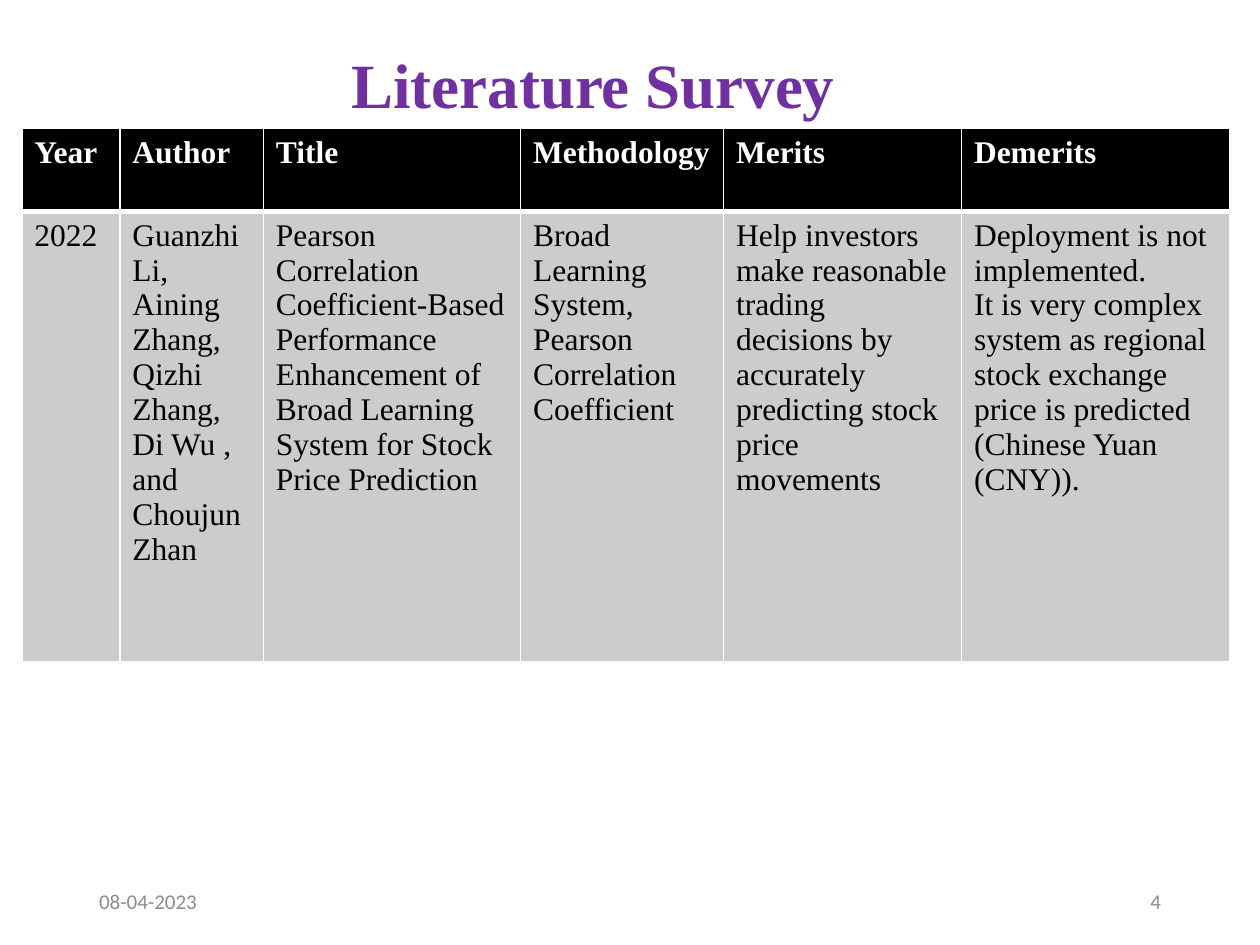
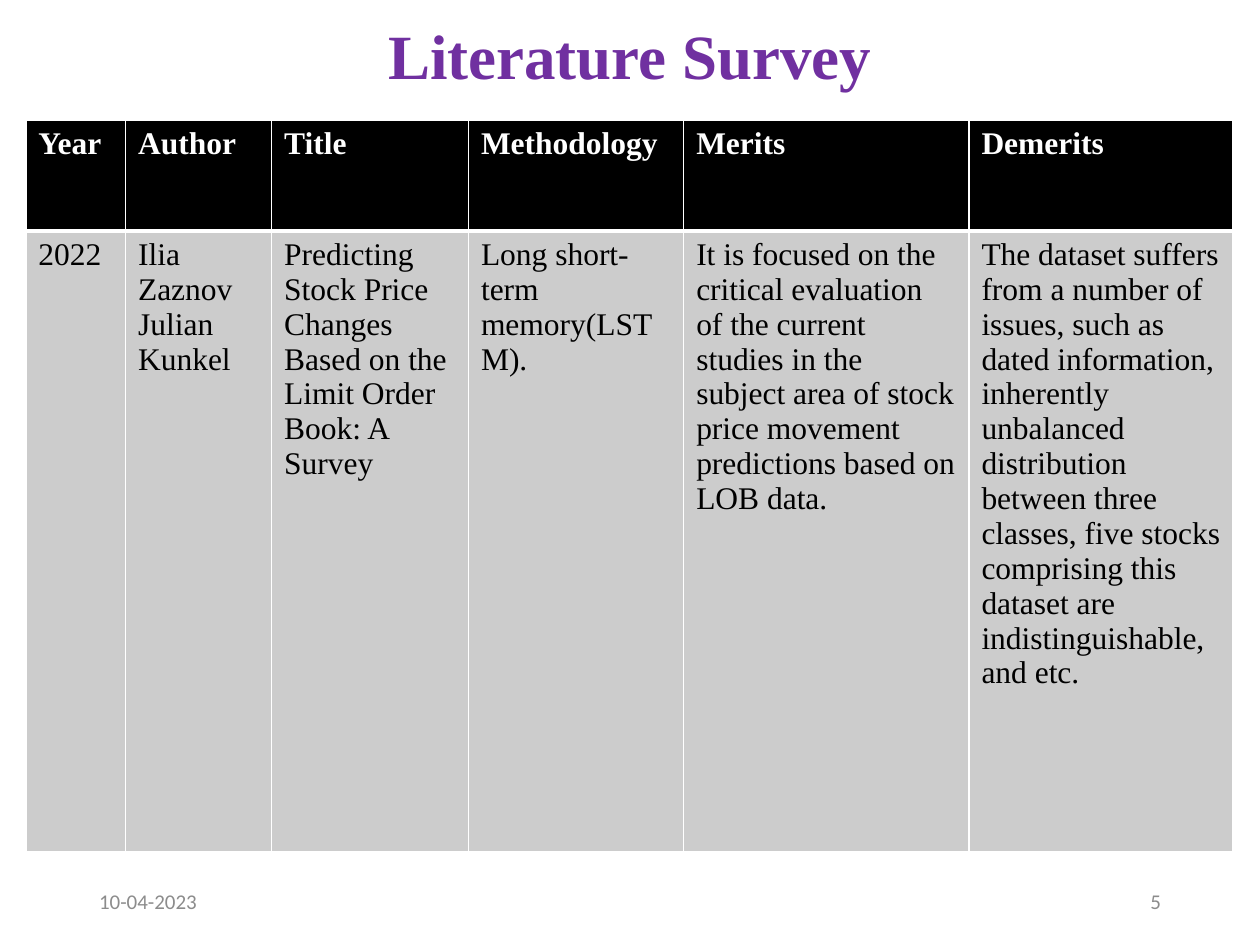
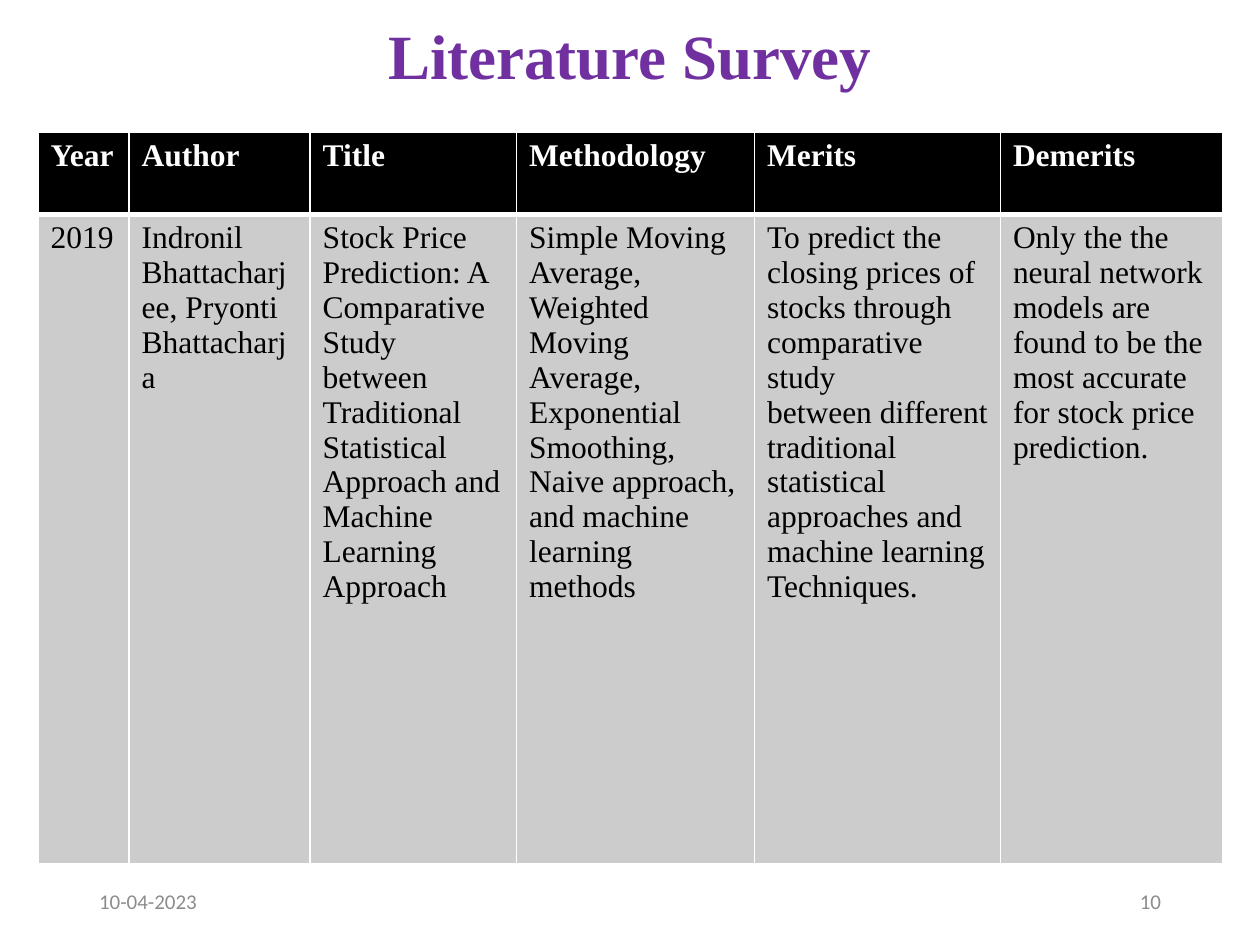
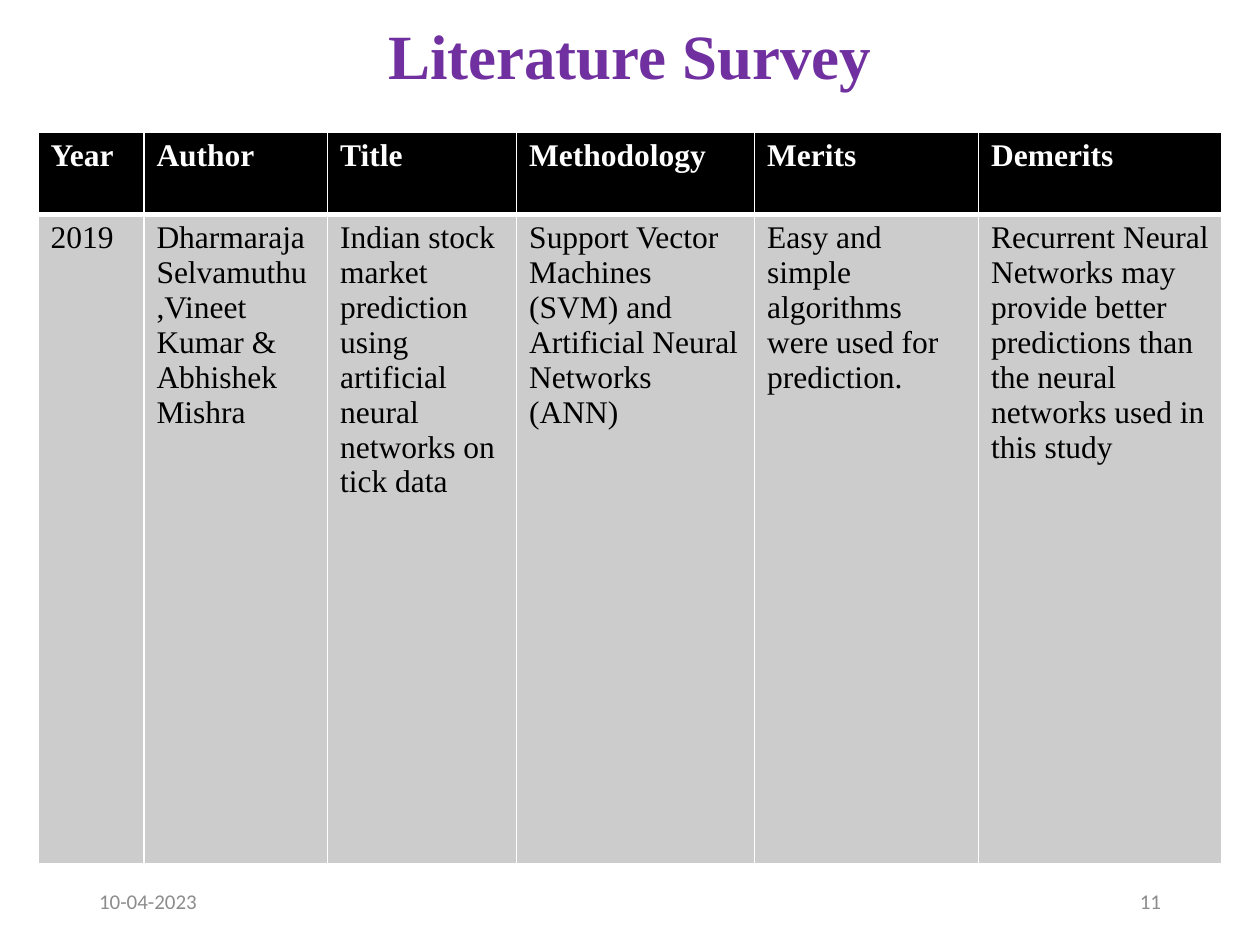
from lxml import etree
from pptx import Presentation
from pptx.dml.color import RGBColor
from pptx.enum.text import MSO_ANCHOR, PP_ALIGN
from pptx.oxml.ns import qn
from pptx.util import Pt

LEFT, MID, RIGHT = PP_ALIGN.LEFT, PP_ALIGN.CENTER, PP_ALIGN.RIGHT
TOP, HALF = MSO_ANCHOR.TOP, MSO_ANCHOR.MIDDLE
SERIF, SANS = "Times New Roman", "Calibri"
PURPLE, GREY, BLACK, WHITE, PALE = "7030A0", "8C8C8C", "000000", "FFFFFF", "CCCCCC"

# Content: one survey entry per slide
TITLE = "Literature Survey"
HEADS = ["Year", "Author", "Title", "Methodology", "Merits", "Demerits"]
PAGES = [
    dict(date="08-04-2023", num="4", at=(12.5, 73.5), rows=(47.5, 257),
         cols=(56, 82, 147, 116, 136, 153.5),
         title=dict(box=(193.7, 22.3, 293.8, 51), wrap=False),
         cells=[
             "2022",
             "Guanzhi Li, Aining Zhang, Qizhi Zhang, Di Wu , and Choujun Zhan",
             "Pearson Correlation Coefficient-Based Performance Enhancement of "
             "Broad Learning System for Stock Price Prediction",
             "Broad Learning System,\nPearson Correlation Coefficient",
             "Help investors make reasonable trading decisions by accurately "
             "predicting stock price movements",
             "Deployment is not implemented.\nIt is very complex system as "
             "regional stock exchange price is predicted (Chinese Yuan (CNY)).",
         ]),
    dict(date="10-04-2023", num="5", at=(14.75, 68.5), rows=(63.5, 355),
         cols=(57, 83.5, 112.5, 123, 163, 151),
         cells=[
             "2022",
             "Ilia Zaznov Julian Kunkel",
             "Predicting Stock Price Changes Based on the Limit Order Book: A Survey",
             "Long short-term memory(LSTM).",
             "It is focused on the critical evaluation of the current studies in "
             "the subject area of stock price movement predictions based on LOB data.",
             "The dataset suffers from a number of issues, such as dated "
             "information, inherently unbalanced distribution between three "
             "classes, five stocks comprising this dataset are "
             "indistinguishable, and etc.",
         ]),
    dict(date="10-04-2023", num="10", at=(21.75, 75.5), rows=(47, 371),
         cols=(52, 103.5, 118, 136, 140.5, 127),
         cells=[
             "2019",
             "Indronil Bhattacharjee, Pryonti Bhattacharja",
             "Stock Price Prediction: A Comparative Study between Traditional "
             "Statistical Approach and Machine Learning Approach",
             "Simple Moving Average, Weighted Moving Average, Exponential "
             "Smoothing, Naive approach, and machine learning methods",
             "To predict the\nclosing prices of stocks through\n"
             "comparative study\nbetween different\ntraditional statistical\n"
             "approaches and\nmachine learning\nTechniques.",
             "Only the the neural network models are found to be the most "
             "accurate for stock price prediction.",
         ]),
    dict(date="10-04-2023", num="11", at=(21.75, 75.5), rows=(47, 371),
         cols=(60.5, 105, 108, 136, 128, 139),
         cells=[
             "2019",
             "Dharmaraja Selvamuthu ,Vineet Kumar & Abhishek Mishra",
             "Indian stock market prediction using artificial neural networks "
             "on tick data",
             "Support Vector Machines (SVM) and Artificial Neural Networks (ANN)",
             "Easy and simple algorithms were used for prediction.",
             "Recurrent Neural Networks may provide better predictions than "
             "the neural networks used in this study",
         ]),
]

# Shared places: left, top, width, height
HEAD_BOX = (49.5, 13, 621, 41.5)
DATE_BOX = (49.5, 500.5, 162, 28.75)
NUM_BOX = (508.5, 500.5, 162, 28.75)


def hue(code):
    return RGBColor.from_string(code)


def write(frame, text, size=18, font=SERIF, color=BLACK, bold=False,
          align=LEFT, space=None):
    for i, line in enumerate(text.split("\n")):
        para = frame.add_paragraph() if i else frame.paragraphs[0]
        para.alignment = align
        if space:
            para.line_spacing = space
        run = para.add_run()
        run.text = line
        run.font.size, run.font.name, run.font.bold = Pt(size), font, bold
        run.font.color.rgb = hue(color)


def label(slide, text, box, anchor=HALF, wrap=True, **style):
    frame = slide.shapes.add_textbox(*map(Pt, box)).text_frame
    frame.word_wrap = wrap
    frame.vertical_anchor = anchor
    write(frame, text, **style)


def edge(cell, **widths):
    props = cell._tc.get_or_add_tcPr()
    for side in "LRTB":
        line = etree.SubElement(props, qn("a:ln" + side),
                                w=str(Pt(widths.get(side, 1))))
        fill = etree.SubElement(line, qn("a:solidFill"))
        etree.SubElement(fill, qn("a:srgbClr"), val=WHITE)


def grid(slide, page):
    cols, rows = page["cols"], page["rows"]
    size = (sum(cols), sum(rows))
    table = slide.shapes.add_table(
        len(rows), len(cols), *map(Pt, page["at"] + size)).table
    table.horz_banding = False
    for col, width in zip(table.columns, cols):
        col.width = Pt(width)
    for row, height in zip(table.rows, rows):
        row.height = Pt(height)
    # The thick rule lies between the head row and the body row
    looks = [(HEADS, BLACK, WHITE, True, {"B": 3}),
             (page["cells"], PALE, BLACK, False, {"T": 3})]
    for r, (texts, back, ink, bold, rule) in enumerate(looks):
        for c, text in enumerate(texts):
            cell = table.cell(r, c)
            edge(cell, **rule)
            cell.fill.solid()
            cell.fill.fore_color.rgb = hue(back)
            write(cell.text_frame, text, color=ink, bold=bold)


def main():
    deck = Presentation()
    deck.slide_width, deck.slide_height = Pt(720), Pt(540)
    head = dict(size=36, color=PURPLE, bold=True)
    foot = dict(size=12, font=SANS, color=GREY)
    for page in PAGES:
        slide = deck.slides.add_slide(deck.slide_layouts[6])
        place = page.get("title")
        if place:
            label(slide, TITLE, anchor=TOP, **place, **head)
        else:
            label(slide, TITLE, HEAD_BOX, align=MID, space=0.9, **head)
        label(slide, page["date"], DATE_BOX, **foot)
        label(slide, page["num"], NUM_BOX, align=RIGHT, **foot)
        grid(slide, page)
    deck.save("out.pptx")


if __name__ == "__main__":
    main()
